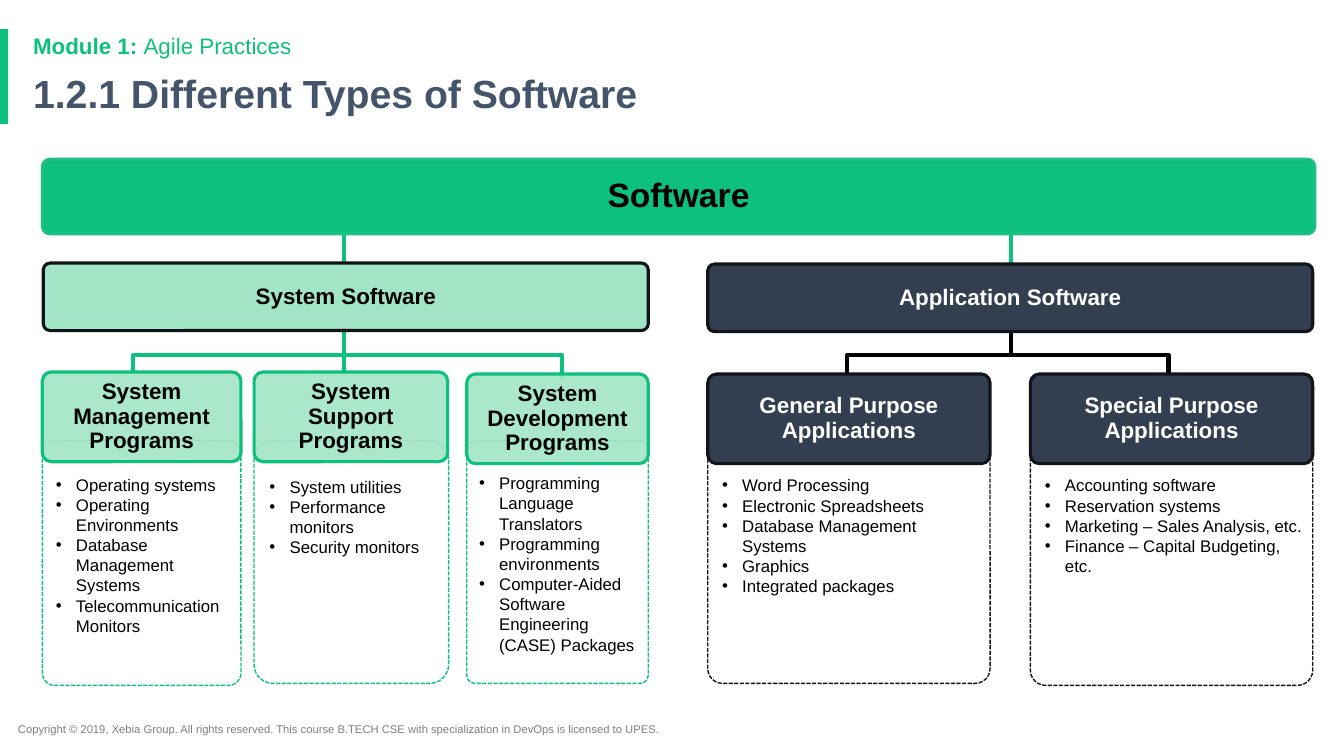
from dataclasses import dataclass
from typing import Optional

from lxml.etree import SubElement
from pptx import Presentation
from pptx.dml.color import RGBColor
from pptx.enum.dml import MSO_LINE
from pptx.enum.shapes import MSO_CONNECTOR, MSO_SHAPE
from pptx.enum.text import MSO_ANCHOR, PP_ALIGN
from pptx.oxml.ns import qn
from pptx.util import Inches, Pt


@dataclass(frozen=True)
class Theme:
    font: str = "Arial"
    green: str = "0EC07D"
    green_edge: str = "1CC083"
    mint: str = "A1E5C6"
    navy: str = "333F50"
    ink: str = "11151A"
    slate: str = "44546A"
    gray: str = "7F7F7F"
    black: str = "000000"
    white: str = "FFFFFF"
    copyright_size: float = 8
    list_size: float = 12
    heading_size: float = 16
    root_size: float = 24
    title_size: float = 28
    panel_line: float = 1
    box_line: float = 2.25
    branch_line: float = 3


THEME = Theme()


@dataclass(frozen=True)
class Box:
    label: str
    left: float
    top: float
    width: float
    height: float
    fill: str
    line: str
    color: str
    size: float = THEME.heading_size
    alpha: Optional[int] = None


@dataclass(frozen=True)
class Category:
    heading: Box
    examples: tuple[str, ...]
    bottom: float
    corner: float
    panel_width: float
    right_margin: float = 0.1


@dataclass(frozen=True)
class Branch:
    points: tuple[tuple[float, float], ...]
    color: str


def system_heading(label: str, left: float, top: float, width: float) -> Box:
    return Box(label, left, top, width, 0.89, THEME.mint, THEME.green, THEME.black, alpha=90)


def application_box(label: str, left: float, top: float, width: float, height: float) -> Box:
    return Box(label, left, top, width, height, THEME.navy, THEME.ink, THEME.white)


PANEL_TOP = 4.37
SYSTEM_X, APPLICATION_X = 3.41, 10.03
FORK_Y = 3.52

BOXES = (
    Box("Software", 0.42, 1.58, 12.62, 0.74, THEME.green, THEME.green_edge,
        THEME.black, THEME.root_size),
    Box("System Software", 0.43, 2.61, 6, 0.67, THEME.mint, THEME.ink, THEME.black),
    application_box("Application Software", 7.02, 2.62, 6, 0.67),
)

CATEGORIES = (
    Category(system_heading("System Management Programs", 0.42, 3.69, 1.97),
             ("Operating systems", "Operating Environments", "Database Management Systems",
              "Telecommunication Monitors"), 6.8, 0.062, 1.97),
    Category(system_heading("System Support Programs", 2.52, 3.69, 1.92),
             ("System utilities", "Performance monitors", "Security monitors"),
             6.78, 0.097, 1.93),
    Category(system_heading("System Development Programs", 4.63, 3.71, 1.8),
             ("Programming Language Translators", "Programming environments",
              "Computer-Aided Software Engineering (CASE) Packages"), 6.78, 0.044, 1.8),
    Category(application_box("General Purpose Applications", 7.02, 3.71, 2.8, 0.89),
             ("Word Processing", "Electronic Spreadsheets", "Database Management Systems",
              "Graphics", "Integrated packages"), 6.78, 0.061, 2.8),
    Category(application_box("Special Purpose Applications", 10.22, 3.71, 2.8, 0.89),
             ("Accounting software", "Reservation systems", "Marketing – Sales Analysis, etc.",
              "Finance – Capital Budgeting, etc."), 6.8, 0.062, 2.8, 0),
)

BRANCHES = (
    Branch(((8.4, 3.76), (8.4, FORK_Y), (11.59, FORK_Y), (11.59, 3.76)), THEME.black),
    Branch(((APPLICATION_X, 2.7), (APPLICATION_X, FORK_Y)), THEME.black),
    Branch(((1.32, 3.71), (1.32, FORK_Y), (5.57, FORK_Y), (5.57, 3.76)), THEME.green),
    Branch(((SYSTEM_X, 2.9), (SYSTEM_X, 3.71)), THEME.green),
    Branch(((SYSTEM_X, 2.24), (SYSTEM_X, 3.05)), THEME.green),
    Branch(((APPLICATION_X, 2.24), (APPLICATION_X, 3.05)), THEME.green),
)


def write_text(shape, *paragraphs, size: float, color: str, bold: bool = False,
               align=PP_ALIGN.LEFT, anchor=MSO_ANCHOR.TOP, spacing: float = 1.0,
               margins=(0.1, 0.05, 0.1, 0.05), bullet: bool = False) -> None:
    frame = shape.text_frame
    frame.word_wrap = True
    frame.vertical_anchor = anchor
    (frame.margin_left, frame.margin_top,
     frame.margin_right, frame.margin_bottom) = map(Inches, margins)
    for index, content in enumerate(paragraphs):
        paragraph = frame.add_paragraph() if index else frame.paragraphs[0]
        if bullet:
            properties = paragraph._p.get_or_add_pPr()
            properties.set("marL", str(Inches(0.2)))
            properties.set("indent", str(Inches(-0.2)))
            bullet_color = SubElement(properties, qn("a:buClr"))
            SubElement(bullet_color, qn("a:srgbClr"), val=color)
            SubElement(properties, qn("a:buFont"), typeface=THEME.font)
            SubElement(properties, qn("a:buChar"), char="•")
        paragraph.alignment = align
        paragraph.line_spacing = spacing
        runs = ((content, bold),) if isinstance(content, str) else content
        for words, heavy in runs:
            run = paragraph.add_run()
            run.text = words
            run.font.name = THEME.font
            run.font.size = Pt(size)
            run.font.bold = heavy
            run.font.color.rgb = RGBColor.from_string(color)


def add_label(slide, left: float, top: float, width: float, height: float,
              content, **text_format) -> None:
    label = slide.shapes.add_textbox(*map(Inches, (left, top, width, height)))
    write_text(label, content, **text_format)


def style_line(shape, color: str, width: float) -> None:
    shape.line.color.rgb = RGBColor.from_string(color)
    shape.line.width = Pt(width)


def add_rounded(slide, left: float, top: float, width: float, height: float,
                corner: float, fill: str, line: str, line_width: float):
    rounded = slide.shapes.add_shape(MSO_SHAPE.ROUNDED_RECTANGLE,
                                     *map(Inches, (left, top, width, height)))
    rounded.shadow.inherit = False
    rounded.adjustments[0] = corner
    rounded.fill.solid()
    rounded.fill.fore_color.rgb = RGBColor.from_string(fill)
    style_line(rounded, line, line_width)
    return rounded


def add_box(slide, box: Box) -> None:
    rounded = add_rounded(slide, box.left, box.top, box.width, box.height, 0.1,
                          box.fill, box.line, THEME.box_line)
    if box.alpha is not None:
        fill_color = rounded._element.spPr.find(qn("a:solidFill")).find(qn("a:srgbClr"))
        SubElement(fill_color, qn("a:alpha"), val=str(box.alpha * 1000))
    write_text(rounded, box.label, size=box.size, color=box.color, bold=True,
               align=PP_ALIGN.CENTER, anchor=MSO_ANCHOR.MIDDLE, spacing=0.9,
               margins=(0.1, 0.1, 0.1, 0.1))


def add_panel(slide, category: Category) -> None:
    heading = category.heading
    panel = add_rounded(slide, heading.left, PANEL_TOP, category.panel_width,
                        category.bottom - PANEL_TOP, category.corner, THEME.white,
                        heading.line, THEME.panel_line)
    panel.line.dash_style = MSO_LINE.SQUARE_DOT
    write_text(panel, *category.examples, size=THEME.list_size, color=THEME.black,
               margins=(0.1, 0.3, category.right_margin, 0.05), bullet=True)


def add_branch(slide, branch: Branch) -> None:
    points = [(Inches(x), Inches(y)) for x, y in branch.points]
    if len(points) == 2:
        stem = slide.shapes.add_connector(MSO_CONNECTOR.STRAIGHT, *points[0], *points[1])
        style_line(stem, branch.color, THEME.branch_line)
        SubElement(stem._element.spPr, qn("a:effectLst"))
        return
    builder = slide.shapes.build_freeform(*points[0])
    builder.add_line_segments(points[1:], close=False)
    fork = builder.convert_to_shape()
    fork.shadow.inherit = False
    fork.fill.background()
    style_line(fork, branch.color, THEME.branch_line)


def main() -> None:
    presentation = Presentation()
    presentation.slide_width = Inches(13.33)
    presentation.slide_height = Inches(7.5)
    slide = presentation.slides.add_slide(presentation.slide_layouts[6])

    accent = slide.shapes.add_shape(MSO_SHAPE.RECTANGLE,
                                    *map(Inches, (0, 0.29, 0.08, 0.94)))
    accent.shadow.inherit = False
    accent.fill.solid()
    accent.fill.fore_color.rgb = RGBColor.from_string(THEME.green)
    accent.line.fill.background()

    add_label(slide, 0.08, 7.12, 7.13, 0.24,
              "Copyright © 2019, Xebia Group. All rights reserved. This course B.TECH CSE "
              "with specialization in DevOps is licensed to UPES.",
              size=THEME.copyright_size, color=THEME.gray)
    add_label(slide, 0.23, 0.3, 11.5, 0.33,
              (("Module 1: ", True), ("Agile Practices", False)),
              size=THEME.heading_size, color=THEME.green, spacing=0.9)
    add_label(slide, 0.23, 0.69, 11.5, 0.54, "1.2.1 Different Types of Software",
              size=THEME.title_size, color=THEME.slate, bold=True, spacing=0.9)

    for branch in BRANCHES:
        add_branch(slide, branch)
    for category in CATEGORIES:
        add_panel(slide, category)
    for box in (*BOXES, *(category.heading for category in CATEGORIES)):
        add_box(slide, box)

    presentation.save("out.pptx")


if __name__ == "__main__":
    main()
